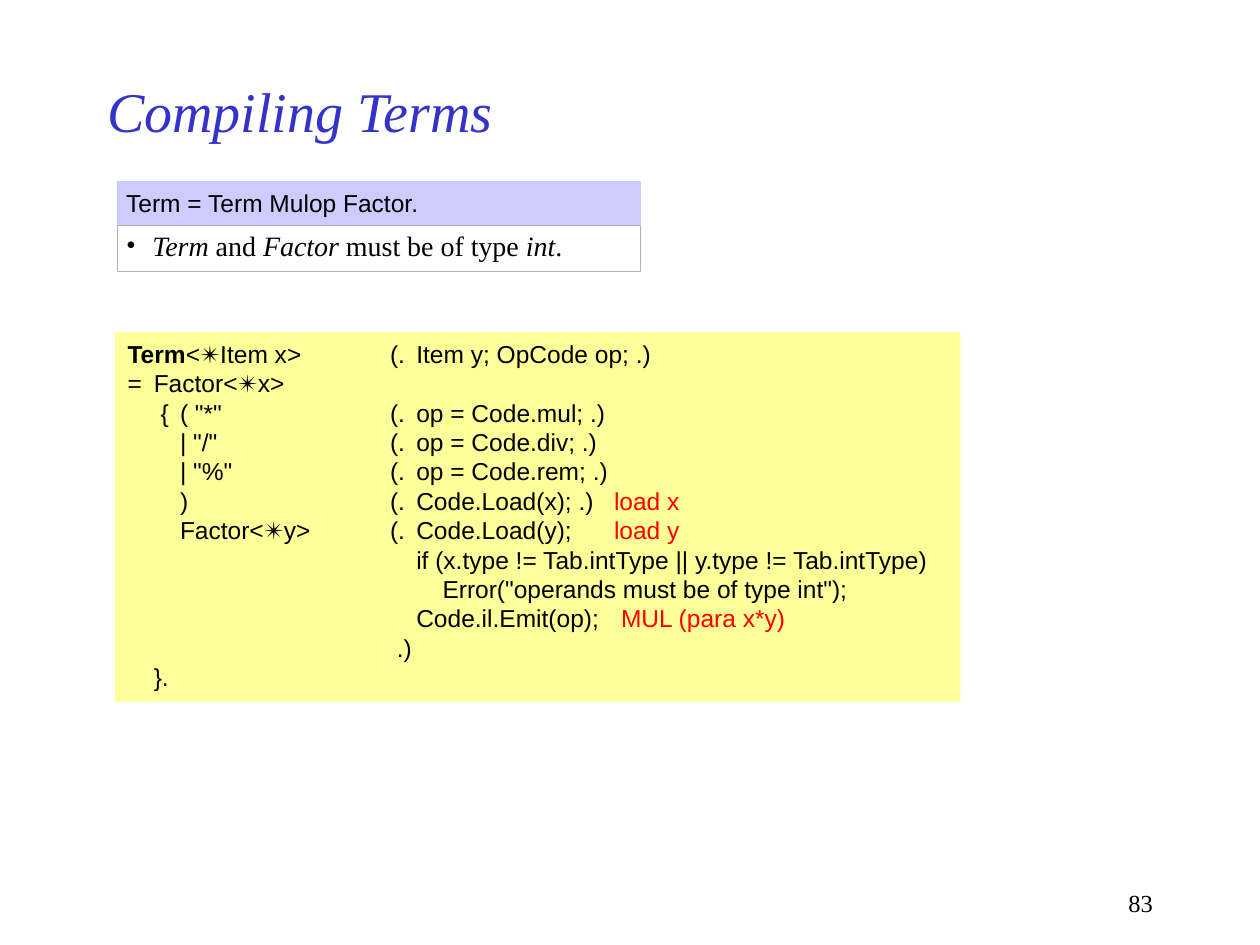
from dataclasses import dataclass
from typing import Any

from lxml.etree import SubElement
from pptx import Presentation
from pptx.dml.color import RGBColor
from pptx.enum.shapes import MSO_SHAPE as Preset
from pptx.enum.text import MSO_ANCHOR as Anchor, MSO_AUTO_SIZE as AutoSize, PP_ALIGN as Align
from pptx.oxml.ns import qn
from pptx.util import Pt

BLACK = RGBColor(0x00, 0x00, 0x00)
RED = RGBColor(0xFF, 0x00, 0x00)
TITLE_BLUE = RGBColor(0x33, 0x33, 0xCC)
LAVENDER = RGBColor(0xCC, 0xCC, 0xFF)
GREY = RGBColor(0xB2, 0xB2, 0xB2)
YELLOW = RGBColor(0xFF, 0xFF, 0x99)

SERIF = "Times New Roman"
SANS = "Arial"
CODE_STOPS = (15, 30, 150, 165, 180)


@dataclass(frozen=True)
class Area:
    left: float
    top: float
    width: float
    height: float

    def lengths(self) -> tuple:
        return Pt(self.left), Pt(self.top), Pt(self.width), Pt(self.height)


@dataclass(frozen=True)
class Span:
    text: str
    bold: bool = False
    italic: bool = False
    color: RGBColor = BLACK


@dataclass(frozen=True)
class CodeLine:
    code: str
    head: str = ""
    note: str = ""
    note_stop: float = 278


CODE = (
    CodeLine("<✴Item x>\t(.\tItem y; OpCode op; .)", head="Term"),
    CodeLine("=\tFactor<✴x>"),
    CodeLine("\t {\t( \"*\"\t(.\top = Code.mul; .)"),
    CodeLine("\t\t| \"/\"\t(.\top = Code.div; .)"),
    CodeLine("\t\t| \"%\"\t(.\top = Code.rem; .)"),
    CodeLine("\t\t)\t(.\tCode.Load(x); .)", note="load x"),
    CodeLine("\t\tFactor<✴y>\t(.\tCode.Load(y);", note="load y"),
    CodeLine("\t\t\t\tif (x.type != Tab.intType || y.type != Tab.intType)"),
    CodeLine("\t\t\t\t\tError(\"operands must be of type int\");"),
    CodeLine("\t\t\t\tCode.il.Emit(op);", note="MUL (para x*y)", note_stop=282),
    CodeLine("\t\t\t .)"),
    CodeLine("\t}."),
)


def apply(target: Any, values: dict) -> None:
    for name, value in values.items():
        setattr(target, name, value)


def prepare_frame(frame: Any, anchor: Any = Anchor.TOP) -> None:
    apply(frame, {
        "word_wrap": True, "auto_size": AutoSize.NONE, "vertical_anchor": anchor,
        "margin_left": Pt(7.2), "margin_right": Pt(7.2),
        "margin_top": Pt(3.6), "margin_bottom": Pt(3.6),
    })


def write_spans(para: Any, spans: list[Span], face: str, size: float) -> None:
    for span in spans:
        run = para.add_run()
        run.text = span.text
        apply(run.font, {"name": face, "size": Pt(size), "bold": span.bold, "italic": span.italic})
        run.font.color.rgb = span.color


def add_bullet(para: Any, indent: float) -> None:
    props = para._p.get_or_add_pPr()
    apply_indent = {"marL": Pt(indent), "indent": -Pt(indent)}
    for name, value in apply_indent.items():
        props.set(name, str(int(value)))
    SubElement(props, qn("a:buFont")).set("typeface", SERIF)
    SubElement(props, qn("a:buChar")).set("char", "•")


def add_tabs(para: Any, stops: tuple) -> None:
    tabs = SubElement(para._p.get_or_add_pPr(), qn("a:tabLst"))
    for stop in stops:
        tab = SubElement(tabs, qn("a:tab"))
        tab.set("pos", str(int(Pt(stop))))
        tab.set("algn", "l")


def add_panel(page: Any, area: Area, fill: RGBColor | None = None, line: RGBColor | None = None) -> Any:
    panel = page.shapes.add_shape(Preset.RECTANGLE, *area.lengths())
    panel.shadow.inherit = False
    if fill is None:
        panel.fill.background()
    else:
        panel.fill.solid()
        panel.fill.fore_color.rgb = fill
    if line is None:
        panel.line.fill.background()
    else:
        panel.line.color.rgb = line
        panel.line.width = Pt(0.75)
    return panel


def add_text(page: Any, area: Area, spans: list[Span], face: str, size: float,
             align: Any = Align.LEFT, bullet_indent: float = 0) -> None:
    box = page.shapes.add_textbox(*area.lengths())
    prepare_frame(box.text_frame)
    para = box.text_frame.paragraphs[0]
    para.alignment = align
    if bullet_indent:
        add_bullet(para, bullet_indent)
    write_spans(para, spans, face, size)


def add_title(page: Any, area: Area, text: str) -> None:
    title = page.shapes.title
    apply(title, dict(zip(("left", "top", "width", "height"), area.lengths())))
    prepare_frame(title.text_frame, Anchor.MIDDLE)
    para = title.text_frame.paragraphs[0]
    para.alignment = Align.LEFT
    write_spans(para, [Span(text, italic=True, color=TITLE_BLUE)], SERIF, 32)


def add_code(page: Any, area: Area, lines: tuple[CodeLine, ...]) -> None:
    frame = add_panel(page, area, fill=YELLOW).text_frame
    prepare_frame(frame)
    for index, line in enumerate(lines):
        para = frame.add_paragraph() if index else frame.paragraphs[0]
        apply(para, {"alignment": Align.LEFT, "line_spacing": Pt(16.8)})
        add_tabs(para, CODE_STOPS + ((line.note_stop,) if line.note else ()))
        spans = [Span(line.head, bold=True)] if line.head else []
        spans.append(Span(line.code + ("\t" if line.note else "")))
        if line.note:
            spans.append(Span(line.note, color=RED))
        write_spans(para, spans, SANS, 14)


def main() -> None:
    deck = Presentation()
    apply(deck, {"slide_width": Pt(720), "slide_height": Pt(540)})
    page = deck.slides.add_slide(deck.slide_layouts[5])
    add_title(page, Area(54, 36, 540, 54), "Compiling Terms")
    add_text(page, Area(516, 504, 150, 24), [Span("83")], SERIF, 14, align=Align.RIGHT)
    add_panel(page, Area(67, 129, 299, 26), line=GREY)
    add_panel(page, Area(67, 104, 299, 24), fill=LAVENDER, line=LAVENDER)
    add_text(page, Area(65, 104, 184, 24), [Span("Term = Term Mulop Factor.")], SANS, 14)
    rule = [
        Span("Term", italic=True), Span(" and "), Span("Factor", italic=True),
        Span(" must be of type "), Span("int", italic=True), Span("."),
    ]
    add_text(page, Area(65, 127, 266, 27), rule, SERIF, 16, bullet_indent=15)
    add_code(page, Area(65.8, 190, 483, 211), CODE)
    deck.save("out.pptx")


if __name__ == "__main__":
    main()
